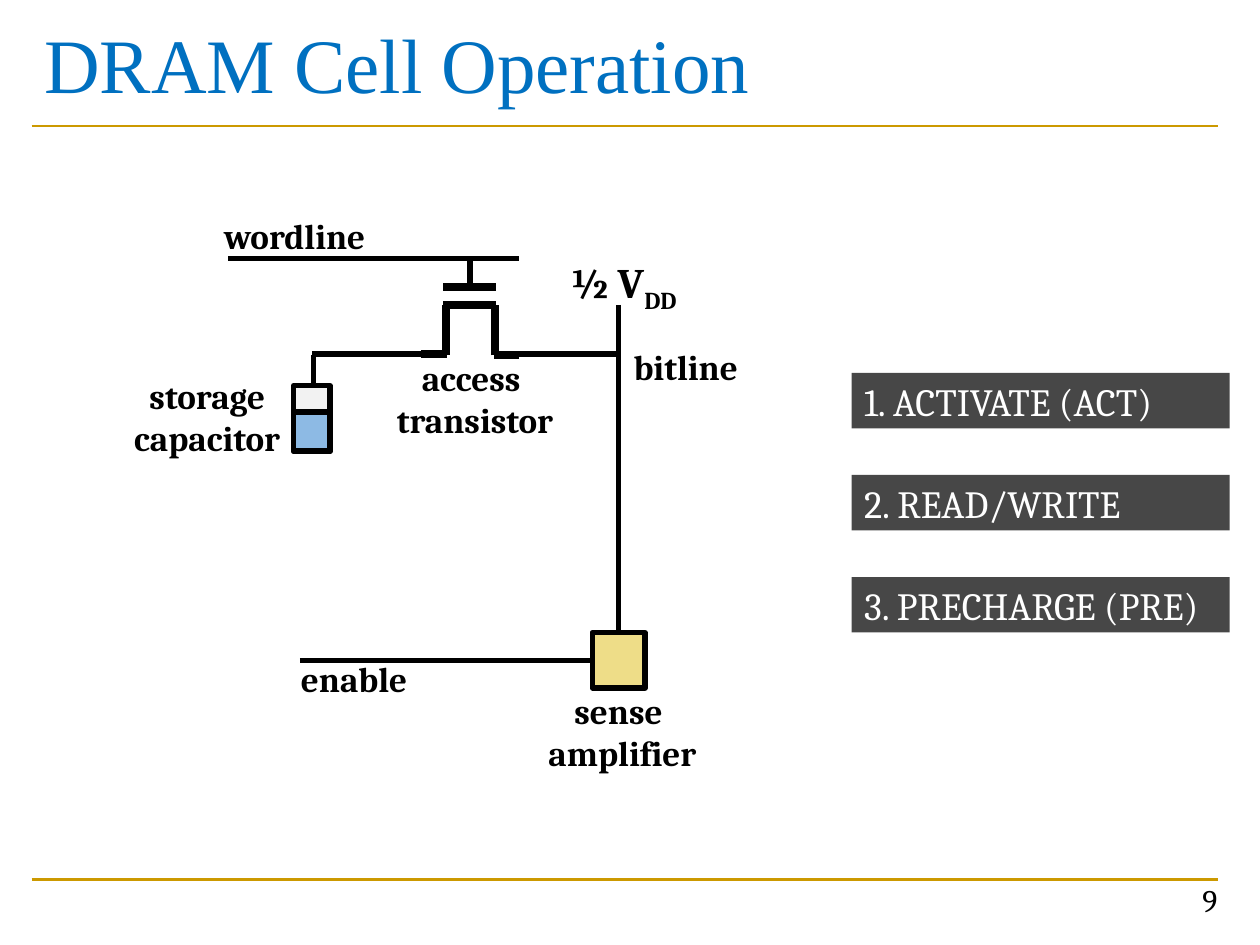
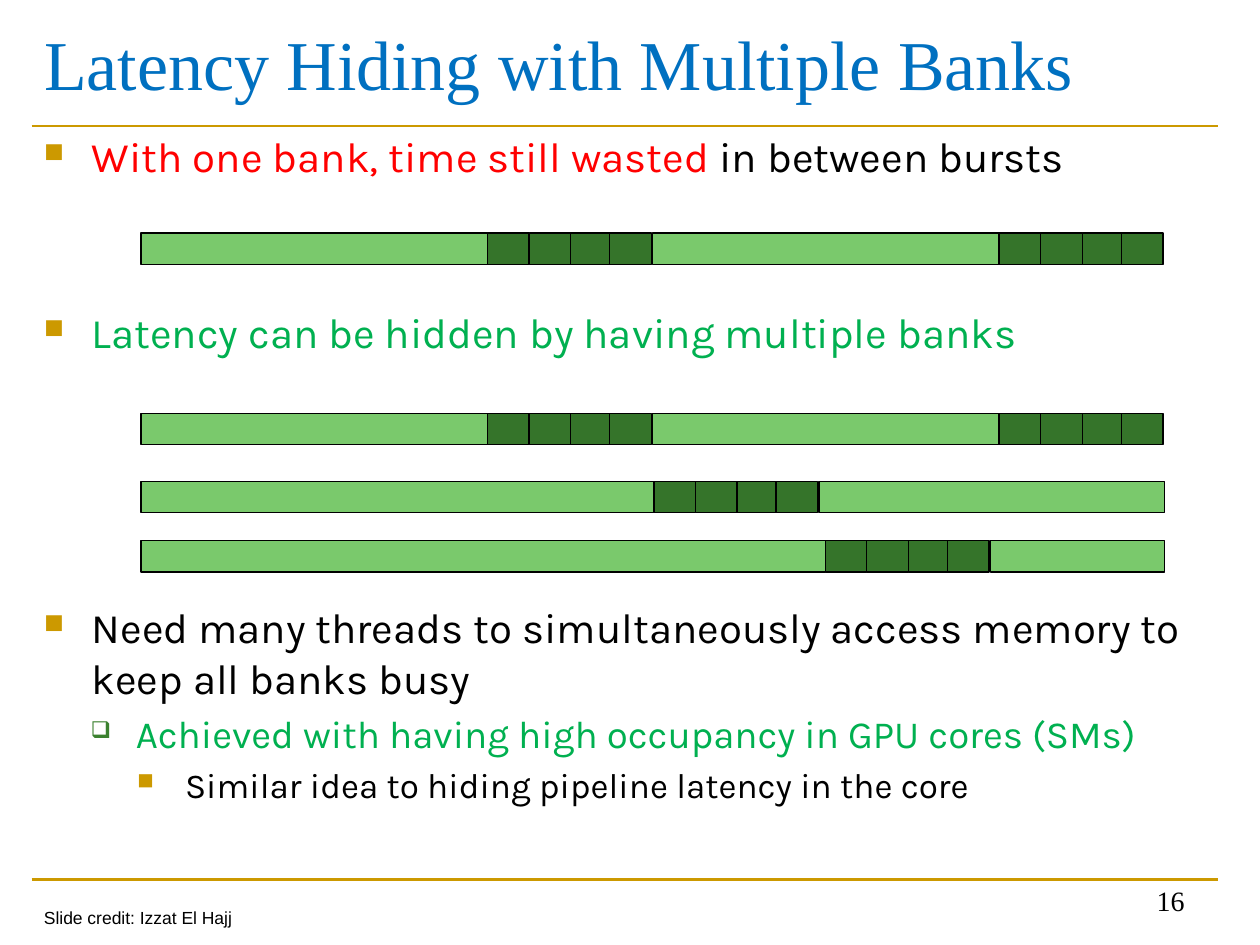
from dataclasses import dataclass
from itertools import chain
from typing import Any, NamedTuple

from lxml.etree import SubElement
from pptx import Presentation
from pptx.dml.color import RGBColor
from pptx.enum.shapes import MSO_CONNECTOR as CONN, MSO_SHAPE as SHAPE
from pptx.enum.text import MSO_ANCHOR as ANCHOR, MSO_AUTO_SIZE as FIT, PP_ALIGN as ALIGN
from pptx.oxml.ns import qn
from pptx.util import Emu, Inches, Pt

WIDTH, HEIGHT = Inches(10), Inches(7.5)
COLS, ROWS = 100, 75

BLACK, WHITE, GOLD, TITLE_BLUE = "000000", "FFFFFF", "CC9900", "0070C0"
RED, GREEN, BULLET_GREEN = "FF0000", "00B050", "3B812F"
IDLE, BURST = "7AC96C", "35742A"
EMPTY_CELL, CHARGE, AMPLIFIER, COMMAND = "F2F2F2", "8DBAE4", "EEDD88", "474747"

LABEL = dict(name="Cambria", size=Pt(20), bold=True, color=BLACK)
VOLTAGE = LABEL | dict(size=Pt(24))
COMMAND_FONT = dict(name="Cambria", size=Pt(22), color=WHITE)


class Box(NamedTuple):
    col: float
    row: float
    cols: float
    rows: float


class Wire(NamedTuple):
    x1: float
    y1: float
    x2: float
    y2: float


class Run(NamedTuple):
    text: str
    font: dict[str, Any]
    baseline: int = 0


@dataclass
class Label:
    box: Box
    lines: list[str]
    align: ALIGN = ALIGN.LEFT
    wrap: bool = False


@dataclass
class Level:
    margin: float
    hang: float
    char: str
    color: str
    scale: int
    size: int


@dataclass
class Bullet:
    level: int
    before: float
    phrases: list[tuple[str, str]]


@dataclass
class Bank:
    row: float
    bursts: list[float]


LEVELS = [
    Level(0.38, 0.38, "■", GOLD, 65, 24),
    Level(0.73, 0.36, "❑", BULLET_GREEN, 60, 22),
    Level(1.12, 0.38, "■", GOLD, 65, 20),
]


def rgb(value: str) -> RGBColor:
    return RGBColor.from_string(value)


def across(cols: float) -> Emu:
    return Emu(round(WIDTH * cols / COLS))


def down(rows: float) -> Emu:
    return Emu(round(HEIGHT * rows / ROWS))


def place(box: Box) -> tuple[Emu, Emu, Emu, Emu]:
    return across(box.col), down(box.row), across(box.cols), down(box.rows)


def set_font(font: Any, values: dict[str, Any]) -> None:
    for key, value in values.items():
        if key == "color":
            font.color.rgb = rgb(value)
        else:
            setattr(font, key, value)


def write(p: Any, runs: list[Run], align: ALIGN = ALIGN.LEFT) -> None:
    p.alignment = align
    for run in runs:
        r = p.add_run()
        r.text = run.text
        set_font(r.font, run.font)
        if run.baseline:
            r._r.get_or_add_rPr().set("baseline", str(run.baseline * 1000))


def add_text(slide: Any, box: Box, lines: list[list[Run]], align: ALIGN = ALIGN.LEFT,
             wrap: bool = True, anchor: ANCHOR = ANCHOR.TOP) -> None:
    tf = slide.shapes.add_textbox(*place(box)).text_frame
    tf.word_wrap, tf.vertical_anchor = wrap, anchor
    for i, runs in enumerate(lines):
        write(tf.add_paragraph() if i else tf.paragraphs[0], runs, align)


def add_wire(shapes: Any, wire: Wire, color: str = BLACK, weight: float = 3) -> None:
    x1, y1, x2, y2 = wire
    sp = shapes.add_connector(CONN.STRAIGHT, across(x1), down(y1), across(x2), down(y2))
    sp.line.color.rgb = rgb(color)
    sp.line.width = Pt(weight)
    SubElement(sp._element.spPr, qn("a:effectLst"))


def add_rect(shapes: Any, box: Box, fill: str, weight: float = 0) -> Any:
    sp = shapes.add_shape(SHAPE.RECTANGLE, *place(box))
    sp.shadow.inherit = False
    sp.fill.solid()
    sp.fill.fore_color.rgb = rgb(fill)
    if weight:
        sp.line.color.rgb = rgb(BLACK)
        sp.line.width = Pt(weight)
    else:
        sp.line.fill.background()
    return sp


def add_slide(prs: Any, title: str, size: int) -> Any:
    slide = prs.slides.add_slide(prs.slide_layouts[5])
    sp = slide.shapes.title
    sp.left, sp.top, sp.width, sp.height = place(Box(2.5, 0, 94.2, 9.9))
    tf = sp.text_frame
    tf.auto_size, tf.vertical_anchor = FIT.NONE, ANCHOR.MIDDLE
    write(tf.paragraphs[0],
          [Run(title, dict(name="Times New Roman", size=Pt(size), color=TITLE_BLUE))])
    for row in (69.8, 10):
        add_wire(slide.shapes, Wire(2.5, row, 96.7, row), GOLD, 1.5)
    return slide


def add_number(slide: Any, box: Box, number: str, font: str, size: int, anchor: ANCHOR) -> None:
    run = Run(number, dict(name=font, size=Pt(size), color=BLACK))
    add_text(slide, box, [[run]], ALIGN.RIGHT, anchor=anchor)


def add_bullets(slide: Any, box: Box, bullets: list[Bullet]) -> None:
    tf = slide.shapes.add_textbox(*place(box)).text_frame
    tf.word_wrap = True
    for i, bullet in enumerate(bullets):
        p = tf.add_paragraph() if i else tf.paragraphs[0]
        level = LEVELS[bullet.level]
        write(p, [Run(text, dict(name="Karla", size=Pt(level.size), color=color))
                  for text, color in bullet.phrases])
        p.level = bullet.level
        p.space_before = Pt(bullet.before)
        pPr = p._p.get_or_add_pPr()
        pPr.set("marL", str(Inches(level.margin)))
        pPr.set("indent", str(-Inches(level.hang)))
        SubElement(SubElement(pPr, qn("a:buClr")), qn("a:srgbClr"), val=level.color)
        SubElement(pPr, qn("a:buSzPct"), val=str(level.scale * 1000))
        SubElement(pPr, qn("a:buChar"), char=level.char)


def add_bank(slide: Any, bank: Bank) -> None:
    start, end, height, burst_cols = 11.2, 92.4, 2.5, 13.1
    shapes = slide.shapes.add_group_shape().shapes
    edges = [start, *chain.from_iterable((b, b + burst_cols) for b in bank.bursts), end]
    for left, right in zip(edges[::2], edges[1::2]):
        if right - left > 1:
            add_rect(shapes, Box(left, bank.row, right - left, height), IDLE, 0.75)
    for burst in bank.bursts:
        for offset in (0, 3.3, 6.6, 9.7):
            add_rect(shapes, Box(burst + offset, bank.row, 3.3, height), BURST, 0.75)


def cell_slide(prs: Any) -> None:
    slide = add_slide(prs, "DRAM Cell Operation", 44)
    shapes = slide.shapes
    wordline, gate = Wire(18.1, 20.5, 41.2, 20.5), Wire(37.3, 22.8, 37.3, 20.5)
    bitline, capacitor_lead = Wire(49.1, 24.2, 49.1, 50.8), Wire(24.9, 28.2, 24.9, 31.3)
    source, drain = Wire(24.8, 28.1, 34.4, 28.1), Wire(39.4, 28.1, 49.1, 28.1)
    enable = Wire(23.8, 52.4, 47, 52.4)
    for wire in (wordline, gate, bitline, capacitor_lead, source, drain, enable):
        add_wire(shapes, wire)

    transistor = shapes.add_group_shape().shapes
    for wire in (Wire(33.4, 28.1, 35.5, 28.1), Wire(35.4, 28.2, 35.4, 24.2),
                 Wire(35.2, 22.8, 39.4, 22.8), Wire(39.3, 28.2, 39.3, 24.2),
                 Wire(35.2, 24.2, 39.4, 24.2), Wire(39.2, 28.2, 41.2, 28.2)):
        add_wire(transistor, wire, weight=4.5)

    add_rect(shapes, Box(23.3, 30.6, 2.9, 5.2), EMPTY_CELL, 3)
    add_rect(shapes, Box(23.3, 32.7, 2.9, 3.1), CHARGE, 3)
    add_rect(shapes, Box(47, 50.2, 4.2, 4.4), AMPLIFIER, 3)

    for label in (
        Label(Box(16.8, 16.5, 13.7, 4.4), ["wordline"]),
        Label(Box(49.3, 26.9, 10.5, 4.4), ["bitline"]),
        Label(Box(22.9, 51.7, 10.7, 4.4), ["enable"]),
        Label(Box(38.7, 54.2, 21.4, 7.7), ["sense ", "amplifier"], ALIGN.CENTER, True),
        Label(Box(9.4, 29.2, 14.1, 7.7), ["storage", "capacitor"], ALIGN.CENTER),
        Label(Box(30.3, 27.8, 14.8, 7.7), ["access ", "transistor"], ALIGN.CENTER),
    ):
        add_text(slide, label.box, [[Run(line, LABEL)] for line in label.lines],
                 label.align, label.wrap)
    add_text(slide, Box(44.3, 19.9, 13.7, 5), [[Run("½ V", VOLTAGE), Run("DD", VOLTAGE, -25)]])

    for i, command in enumerate(("1. ACTIVATE (ACT)", "2. READ/WRITE ", "3. PRECHARGE (PRE)")):
        tf = add_rect(shapes, Box(67.6, 29.6 + 8.1 * i, 30, 4.4), COMMAND).text_frame
        tf.vertical_anchor = ANCHOR.MIDDLE
        write(tf.paragraphs[0], [Run(command, COMMAND_FONT)], ALIGN.JUSTIFY)
    add_number(slide, Box(60.1, 69.4, 37.5, 4), "9", "Cambria", 18, ANCHOR.TOP)


def banks_slide(prs: Any) -> None:
    slide = add_slide(prs, "Latency Hiding with Multiple Banks", 40)
    add_bullets(slide, Box(2.5, 9.9, 94.2, 59.8), [
        Bullet(0, 4.8, [("With one bank, time still wasted ", RED),
                        ("in between bursts", BLACK)]),
        Bullet(0, 71.5, [("Latency can be hidden by having multiple banks", GREEN)]),
        Bullet(0, 140, [("Need many threads to simultaneously access memory to "
                         "keep all banks busy", BLACK)]),
        Bullet(1, 4.4, [("Achieved with having high occupancy in GPU cores (SMs)", GREEN)]),
        Bullet(2, 4, [("Similar idea to hiding pipeline latency in the core", BLACK)]),
    ])
    for bank in (Bank(18.5, [38.7, 79.3]), Bank(32.8, [38.7, 79.3]),
                 Bank(38.2, [51.9]), Bank(42.9, [65.5])):
        add_bank(slide, bank)
    credit = Run("Slide credit: Izzat El Hajj", dict(name="Arial", size=Pt(10), color=BLACK))
    add_text(slide, Box(2.5, 71.5, 17.1, 2.7), [[credit]], wrap=False)
    add_number(slide, Box(71.7, 68.3, 23.3, 5), "16", "Times New Roman", 16, ANCHOR.BOTTOM)


def main() -> None:
    prs = Presentation()
    prs.slide_width, prs.slide_height = WIDTH, HEIGHT
    cell_slide(prs)
    banks_slide(prs)
    prs.save("out.pptx")


if __name__ == "__main__":
    main()
